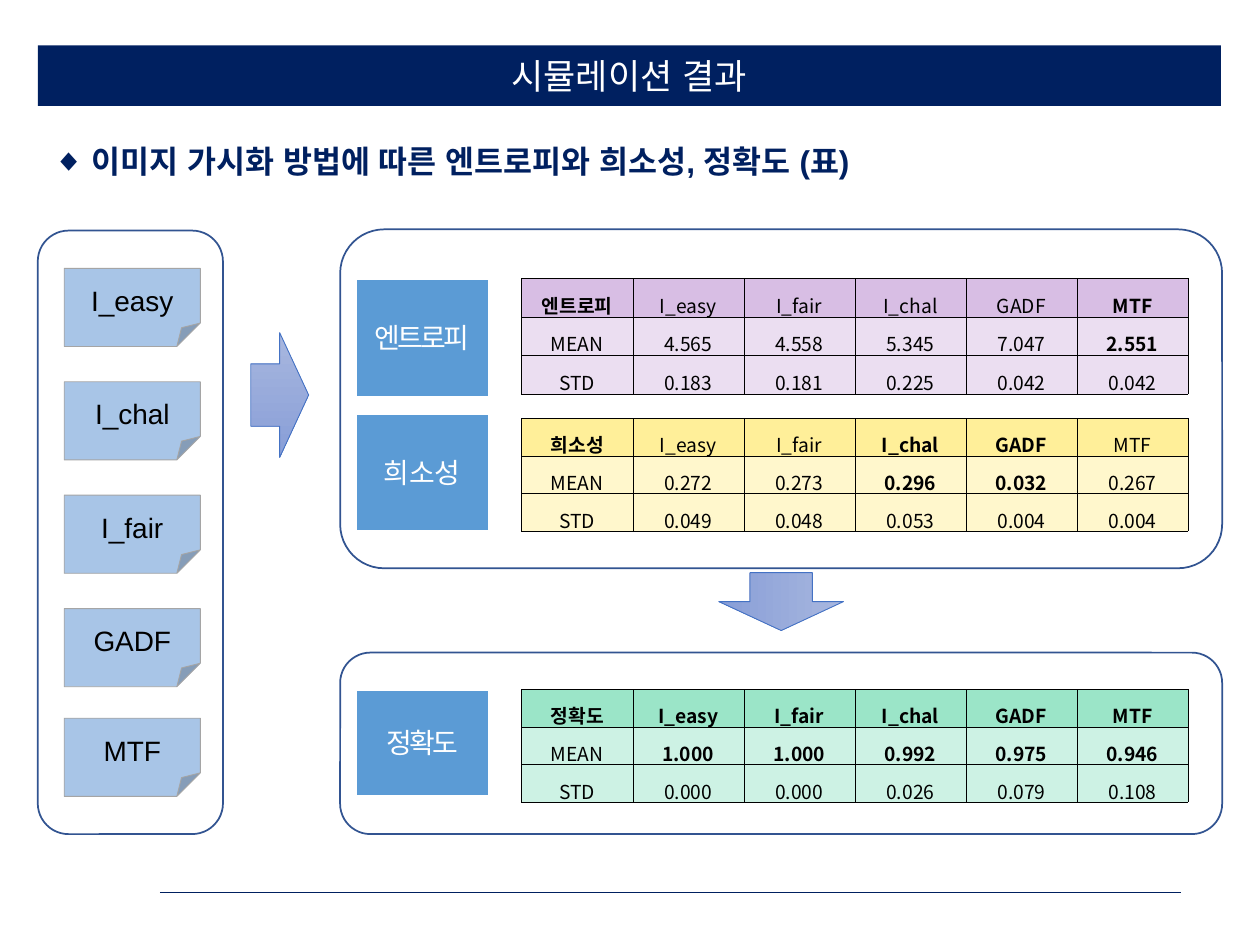
from dataclasses import dataclass

from lxml.etree import SubElement
from pptx import Presentation
from pptx.dml.color import RGBColor
from pptx.enum.shapes import MSO_CONNECTOR as Link, MSO_SHAPE as Kind
from pptx.enum.text import MSO_ANCHOR as Anchor, MSO_AUTO_SIZE as Fit, PP_ALIGN as Align
from pptx.oxml.ns import qn
from pptx.util import Inches, Pt

NAVY = RGBColor(0x00, 0x20, 0x60)
WHITE = RGBColor(0xFF, 0xFF, 0xFF)
BLACK = RGBColor(0x00, 0x00, 0x00)
GREY = RGBColor(0xA5, 0xA5, 0xA5)
NOTE = RGBColor(0xA8, 0xC5, 0xE7)
BLOCK = RGBColor(0x5B, 0x9B, 0xD5)
FRAME = RGBColor(0x32, 0x54, 0x91)
EDGE = RGBColor(0x44, 0x72, 0xC4)
PALE = RGBColor(0xA8, 0xB7, 0xDF)
DEEP = RGBColor(0x88, 0x9E, 0xD7)
PURPLE, LILAC = RGBColor(0xD8, 0xBE, 0xE4), RGBColor(0xEB, 0xDE, 0xF1)
YELLOW, CREAM = RGBColor(0xFF, 0xEF, 0x99), RGBColor(0xFF, 0xF7, 0xCC)
GREEN, MINT = RGBColor(0x9B, 0xE5, 0xC8), RGBColor(0xCD, 0xF2, 0xE4)

METHODS = ["I_easy", "I_fair", "I_chal", "GADF", "MTF"]


@dataclass
class Box:
    x: float
    y: float
    w: float
    h: float

    def emu(self) -> list:
        return [Inches(v) for v in (self.x, self.y, self.w, self.h)]


@dataclass
class Metric:
    name: str
    block: Box
    gap: float  # letter spacing of the block label, in points
    grid: Box
    dark: RGBColor
    light: RGBColor
    mean: list
    std: list
    best: tuple  # methods set in bold


METRICS = [
    Metric("엔트로피", Box(2.82, 2.21, 1.06, 0.94), -1.5, Box(4.14, 2.21, 5.29, 0.92),
           PURPLE, LILAC,
           ["4.565", "4.558", "5.345", "7.047", "2.551"],
           ["0.183", "0.181", "0.225", "0.042", "0.042"], ("MTF",)),
    Metric("희소성", Box(2.82, 3.28, 1.06, 0.94), 0, Box(4.14, 3.32, 5.29, 0.88),
           YELLOW, CREAM,
           ["0.272", "0.273", "0.296", "0.032", "0.267"],
           ["0.049", "0.048", "0.053", "0.004", "0.004"], ("I_chal", "GADF")),
    Metric("정확도", Box(2.82, 5.47, 1.06, 0.85), -1.5, Box(4.14, 5.47, 5.29, 0.85),
           GREEN, MINT,
           ["1.000", "1.000", "0.992", "0.975", "0.946"],
           ["0.000", "0.000", "0.026", "0.079", "0.108"], tuple(METHODS)),
]


def write(frame, text: str, *, size=16, color=BLACK, bold=False, font="Arial",
          align=Align.CENTER, gap=0, lead=None, after=0):
    para = frame.paragraphs[0]
    para.alignment, para.line_spacing = align, lead
    para.space_before, para.space_after = Pt(0), Pt(after)
    run = para.add_run()
    run.text = text
    run.font.size, run.font.bold, run.font.name = Pt(size), bold, font
    run.font.color.rgb = color
    props = run.font._element
    SubElement(props, qn("a:ea"), typeface=font)
    if gap:
        props.set("spc", str(int(gap * 100)))
    return para


def place(item, box: Box) -> None:
    item.left, item.top, item.width, item.height = box.emu()


def shape(slide, kind, box: Box, line: RGBColor, width: float, fill=None, adj=None):
    item = slide.shapes.add_shape(kind, *box.emu())
    item.shadow.inherit = False
    item.line.color.rgb, item.line.width = line, Pt(width)
    if fill is None:
        item.fill.background()
    else:
        item.fill.solid()
        item.fill.fore_color.rgb = fill
    if adj is not None:
        # The library lists no adjustments for a folded corner
        guides = item._element.spPr.find(".//" + qn("a:avLst"))
        guides.clear()
        SubElement(guides, qn("a:gd"), name="adj", fmla=f"val {round(adj * 100000)}")
    return item


def arrow(slide, box: Box, turn: int = 0) -> None:
    item = shape(slide, Kind.RIGHT_ARROW, box, EDGE, 0.5)
    item.rotation = turn
    item.fill.gradient()
    item.fill.gradient_angle = 270
    for stop, color in zip(item.fill.gradient_stops, (PALE, DEEP)):
        stop.color.rgb = color


def border(cell) -> None:
    props = cell._tc.get_or_add_tcPr()
    for side in ("lnL", "lnR", "lnT", "lnB"):
        line = SubElement(props, qn(f"a:{side}"), w=str(Pt(0.28)))
        fill = SubElement(line, qn("a:solidFill"))
        SubElement(fill, qn("a:srgbClr"), val=str(BLACK))


def grid(slide, metric: Metric) -> None:
    rows = [[metric.name, *METHODS], ["MEAN", *metric.mean], ["STD", *metric.std]]
    table = slide.shapes.add_table(3, 6, *metric.grid.emu()).table
    table.first_row = table.horz_banding = False
    for r, row in enumerate(rows):
        for c, text in enumerate(row):
            cell = table.cell(r, c)
            border(cell)
            cell.fill.solid()
            cell.fill.fore_color.rgb = metric.light if r else metric.dark
            cell.vertical_anchor = Anchor.MIDDLE
            cell.margin_left = cell.margin_right = Inches(0.12)
            cell.margin_top = cell.margin_bottom = Inches(0.03)
            bold = r < 2 and rows[0][c] in metric.best or r == c == 0
            write(cell.text_frame, text, size=11, bold=bold,
                  font="Noto Sans CJK KR", lead=1.3)


def head(slide) -> None:
    # Title bar
    title, body = slide.placeholders
    place(title, Box(0.3, 0.36, 9.39, 0.48))
    title.fill.solid()
    title.fill.fore_color.rgb = NAVY
    title.text_frame.auto_size = Fit.NONE
    title.text_frame.vertical_anchor = Anchor.MIDDLE
    write(title.text_frame, "시뮬레이션 결과", size=20, color=WHITE, after=6)

    # Bulleted heading
    place(body, Box(0.32, 1.08, 7.2, 0.4))
    body.text_frame.word_wrap = False
    body.text_frame.auto_size = Fit.SHAPE_TO_FIT_TEXT
    para = write(body.text_frame, "이미지 가시화 방법에 따른 엔트로피와 희소성, 정확도 (표)",
                 size=18, color=NAVY, bold=True, align=Align.LEFT)
    props = para._p.get_or_add_pPr()
    props.set("marL", str(Inches(0.31)))
    props.set("indent", str(Inches(-0.31)))
    SubElement(props, qn("a:buChar"), char="◆")


def main() -> None:
    deck = Presentation()
    deck.slide_width, deck.slide_height = Inches(10), Inches(7.5)
    slide = deck.slides.add_slide(deck.slide_layouts[1])
    head(slide)

    # Frames
    for box, adj in ((Box(0.3, 1.83, 1.47, 4.79), None),
                     (Box(2.7, 1.82, 7, 2.69), 0.13),
                     (Box(2.7, 5.18, 7, 1.44), None)):
        shape(slide, Kind.ROUNDED_RECTANGLE, box, FRAME, 1, adj=adj)

    # Method notes
    names = ["I_easy", "I_chal", "I_fair", "GADF", "MTF"]
    for name, top in zip(names, (2.13, 3.03, 3.93, 4.83, 5.7)):
        note = shape(slide, Kind.FOLDED_CORNER, Box(0.51, top, 1.08, 0.62),
                     GREY, 0.5, NOTE, 0.3)
        note.text_frame.vertical_anchor = Anchor.BOTTOM
        write(note.text_frame, name)

    # Metric blocks and tables
    for metric in METRICS:
        block = shape(slide, Kind.FOLDED_CORNER, metric.block, WHITE, 1.5, BLOCK, 0)
        block.text_frame.vertical_anchor = Anchor.MIDDLE
        write(block.text_frame, metric.name, color=WHITE, gap=metric.gap)
        grid(slide, metric)

    # Flow arrows
    arrow(slide, Box(1.99, 2.64, 0.46, 0.99))
    arrow(slide, Box(5.97, 4.28, 0.46, 0.99), turn=90)

    # Footer rule
    rule = slide.shapes.add_connector(
        Link.STRAIGHT, Inches(1.27), Inches(7.08), Inches(9.37), Inches(7.08))
    rule.line.color.rgb, rule.line.width = NAVY, Pt(0.25)
    SubElement(rule._element.spPr, qn("a:effectLst"))

    deck.save("out.pptx")


if __name__ == "__main__":
    main()
